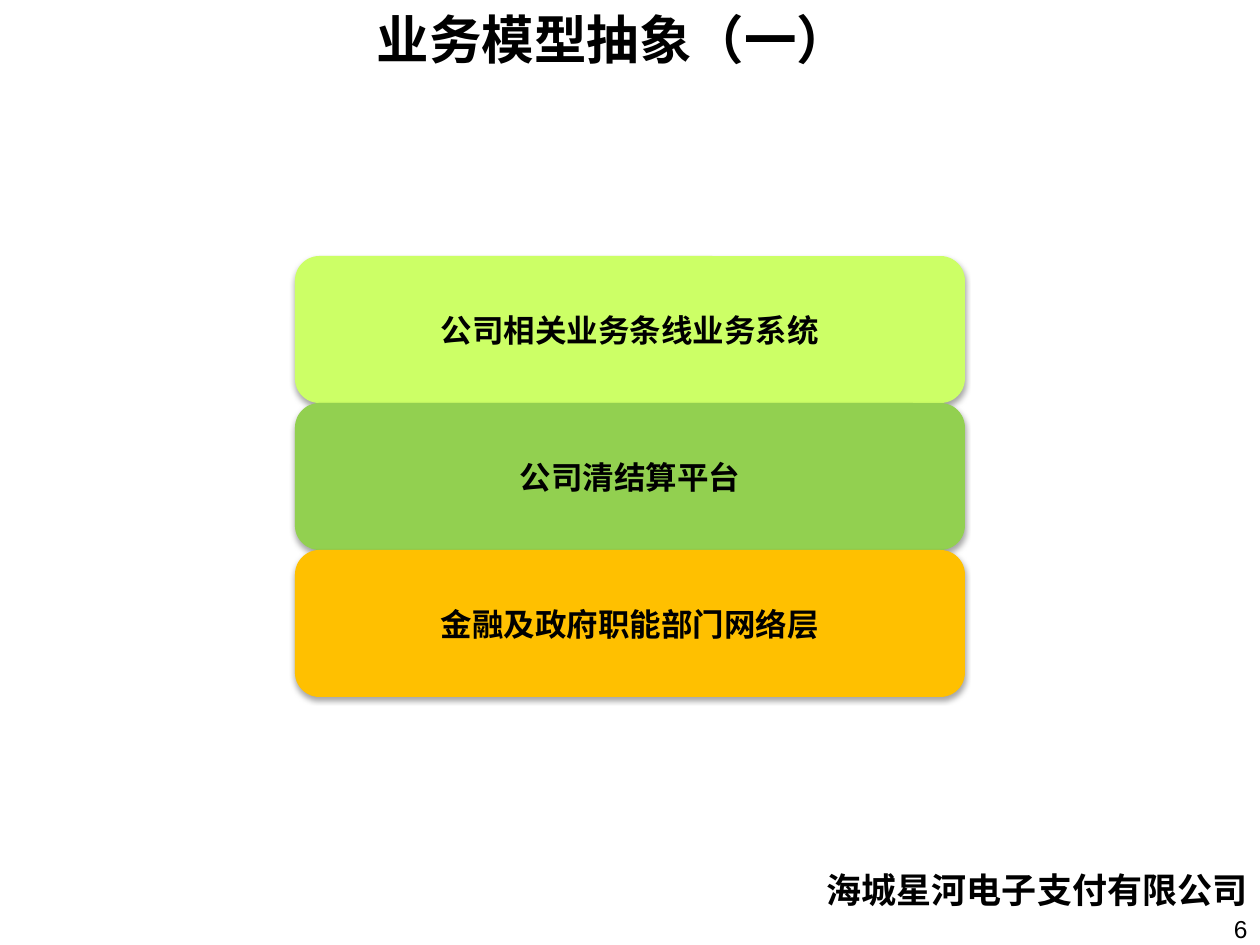
from dataclasses import dataclass

from lxml import etree
from pptx import Presentation
from pptx.dml.color import RGBColor
from pptx.enum import shapes, text
from pptx.oxml import ns
from pptx.util import Emu, Pt

PX = 914400 // 126


@dataclass(frozen=True)
class Theme:
    ink: str = "000000"
    layers: tuple = ("CCFF66", "92D050", "FFC000")
    latin: str = "Arial"
    chinese: str = "Noto Sans CJK SC"
    title_pt: int = 30
    company_pt: int = 20
    layer_pt: int = 18
    number_pt: int = 14


THEME = Theme()


def px(*lengths):
    return [Emu(length * PX) for length in lengths]


def write(shape, words, size, align, bold=True, font=THEME.latin):
    frame = shape.text_frame
    frame.word_wrap = True
    frame.vertical_anchor = text.MSO_ANCHOR.MIDDLE
    line = frame.paragraphs[0]
    line.alignment = align
    run = line.add_run()
    run.text = words
    run.font.name = font
    run.font.size = Pt(size)
    run.font.bold = bold
    run.font.color.rgb = RGBColor.from_string(THEME.ink)
    east_asian = etree.SubElement(run.font._element, ns.qn("a:ea"))
    east_asian.set("typeface", THEME.chinese)


def add_soft_shadow(shape):
    shape.shadow.inherit = False
    effects = shape._element.spPr.find(ns.qn("a:effectLst"))
    shadow = etree.SubElement(
        effects, ns.qn("a:outerShdw"), blurRad=str(Pt(3.1)), dist=str(Pt(1.8)),
        dir="5400000", rotWithShape="0")
    colour = etree.SubElement(shadow, ns.qn("a:srgbClr"), val=THEME.ink)
    etree.SubElement(colour, ns.qn("a:alpha"), val="35000")


def add_title(slide, box, words):
    title = slide.shapes.add_textbox(*px(*box))
    write(title, words, THEME.title_pt, text.PP_ALIGN.CENTER, font=THEME.chinese)


def add_layer_stack(slide, box, layers):
    """Stack equal rounded layers from top to bottom, without gaps."""
    left, top, width, height = box
    layer_height = height // len(layers)
    for index, (words, colour) in enumerate(zip(layers, THEME.layers)):
        layer = slide.shapes.add_shape(
            shapes.MSO_SHAPE.ROUNDED_RECTANGLE,
            *px(left, top + index * layer_height, width, layer_height))
        layer.fill.solid()
        layer.fill.fore_color.rgb = RGBColor.from_string(colour)
        layer.line.fill.background()
        add_soft_shadow(layer)
        write(layer, words, THEME.layer_pt, text.PP_ALIGN.CENTER)


def add_footer(slide, box, company, number):
    """Set the company name above the page number, both flush right."""
    left, top, width, height = box
    number_height = 45
    company_height = height - number_height
    name = slide.shapes.add_textbox(*px(left, top, width, company_height))
    write(name, company, THEME.company_pt, text.PP_ALIGN.RIGHT)
    number_width = 78
    page = slide.shapes.add_textbox(
        *px(left + width - number_width, top + company_height,
            number_width, number_height))
    write(page, number, THEME.number_pt, text.PP_ALIGN.RIGHT, bold=False)


def main():
    deck = Presentation()
    deck.slide_width, deck.slide_height = px(1260, 945)
    slide = deck.slides.add_slide(deck.slide_layouts[6])
    add_title(slide, (103, 0, 1020, 78), "业务模型抽象（一）")
    add_layer_stack(slide, (295, 256, 670, 441), (
        "公司相关业务条线业务系统", "公司清结算平台", "金融及政府职能部门网络层"))
    add_footer(slide, (808, 874, 452, 77), "海城星河电子支付有限公司", "6")
    deck.save("out.pptx")


if __name__ == "__main__":
    main()
